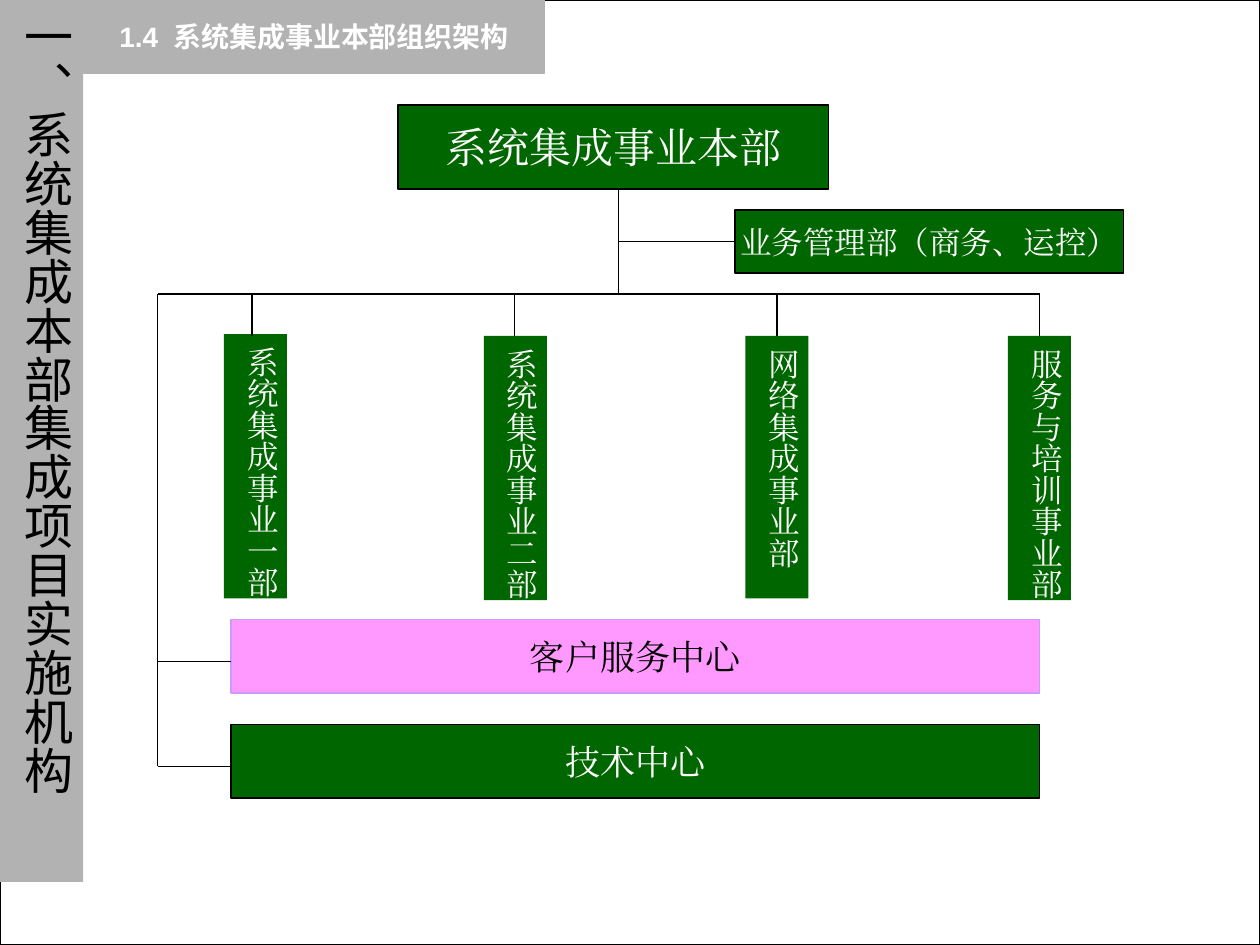
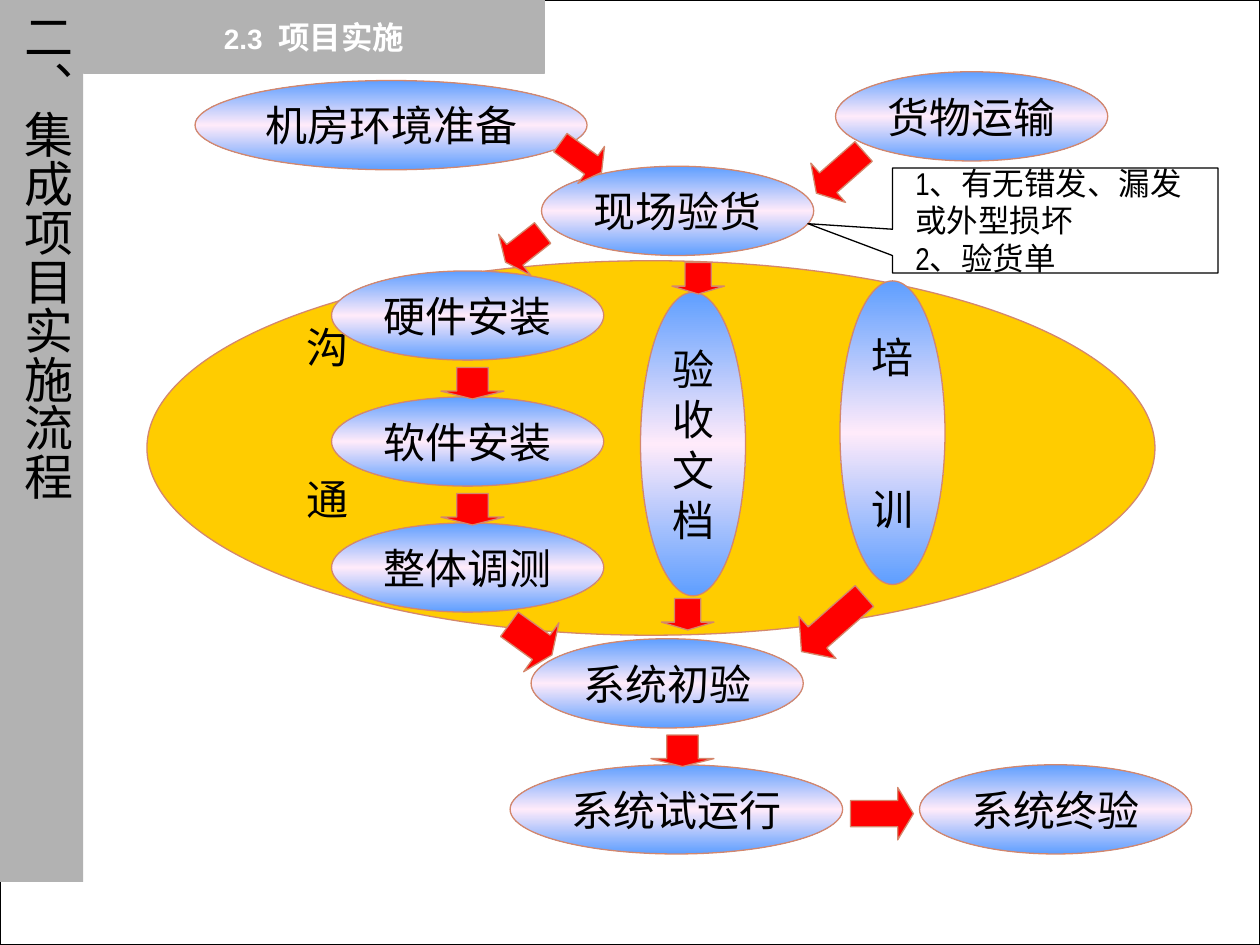
from copy import deepcopy
from dataclasses import dataclass
from typing import NamedTuple

from lxml import etree
from pptx import Presentation
from pptx.dml.color import RGBColor
from pptx.enum.shapes import MSO_CONNECTOR, MSO_SHAPE
from pptx.enum.text import MSO_ANCHOR, PP_ALIGN
from pptx.oxml.ns import qn
from pptx.util import Pt

RECT, OVAL = MSO_SHAPE.RECTANGLE, MSO_SHAPE.OVAL
DOWN, RIGHT = MSO_SHAPE.DOWN_ARROW, MSO_SHAPE.RIGHT_ARROW
CALLOUT = MSO_SHAPE.RECTANGULAR_CALLOUT
STRAIGHT = MSO_CONNECTOR.STRAIGHT
LEFT, CENTER = PP_ALIGN.LEFT, PP_ALIGN.CENTER
TOP, MIDDLE = MSO_ANCHOR.TOP, MSO_ANCHOR.MIDDLE


@dataclass(frozen=True)
class Theme:
    black: str = "000000"
    white: str = "FFFFFF"
    gray: str = "B2B2B2"
    green: str = "006600"
    pink: str = "FF99FF"
    lilac: str = "CC99FF"
    gold: str = "FFCC00"
    red: str = "FF0000"
    rim: str = "D4876C"
    shine: tuple[str, ...] = ("5E9EFF", "FFEBFA", "5E9EFF")
    serif: str = "Times New Roman"
    narrow: str = "Arial Narrow"
    sans: str = "Arial"
    hans: str = "Noto Sans CJK SC"
    side: float = 28
    large: float = 24
    bar: float = 20
    body: float = 18
    head: float = 16
    line: float = 0.75


T = Theme()


class Box(NamedTuple):
    x: float
    y: float
    w: float
    h: float


class Unit(NamedTuple):
    text: str
    box: Box
    size: float
    fill: str = T.green
    line: str = T.black
    color: str = T.white


class Step(NamedTuple):
    text: str
    x: float
    y: float
    w: float = 155.5
    h: float = 51
    wrap: bool = False
    gap: float = 0


class Arrow(NamedTuple):
    box: Box
    turn: float = 0
    tip: float = 0.25
    kind: int = DOWN


class Run(NamedTuple):
    text: str
    size: float
    font: str
    track: int = 0


def draw(slide, kind, box: Box, fill=None, line: str | None = None):
    """Add a shape; a tuple of colours as fill makes a vertical gradient."""
    shape = slide.shapes.add_shape(kind, *map(Pt, box))
    shape.shadow.inherit = False
    if fill is None:
        shape.fill.background()
    elif isinstance(fill, tuple):
        shade(shape, fill)
    else:
        shape.fill.solid()
        shape.fill.fore_color.rgb = RGBColor.from_string(fill)
    if line:
        shape.line.color.rgb = RGBColor.from_string(line)
        shape.line.width = Pt(T.line)
    else:
        shape.line.fill.background()
    return shape


def shade(shape, colors: tuple[str, ...]) -> None:
    shape.fill.gradient()
    shape.fill.gradient_angle = 90
    stops = shape._element.spPr.find(".//" + qn("a:gsLst"))
    while len(stops) < len(colors):
        stops.append(deepcopy(stops[0]))
    for i, (stop, color) in enumerate(zip(shape.fill.gradient_stops, colors)):
        stop.color.rgb = RGBColor.from_string(color)
        stop.position = i / (len(colors) - 1)


def write(shape, *paras, size: float = T.large, font: str = T.narrow,
          color: str = T.black, bold: bool = False, align=CENTER,
          anchor=MIDDLE, wrap: bool = True, gap: float = 0,
          pad: tuple[float, ...] = (7.2, 3.6, 7.2, 3.6),
          tall: bool = False) -> None:
    """Fill a shape with paragraphs, each a string or a list of runs."""
    frame = shape.text_frame
    frame.word_wrap, frame.vertical_anchor = wrap, anchor
    (frame.margin_left, frame.margin_top,
     frame.margin_right, frame.margin_bottom) = map(Pt, pad)
    if tall:
        frame._txBody.bodyPr.set("vert", "eaVert")
    for i, para in enumerate(paras):
        line = frame.add_paragraph() if i else frame.paragraphs[0]
        line.alignment = align
        if i and gap:
            line.space_before = Pt(gap)
        for part in [Run(para, size, font)] if isinstance(para, str) else para:
            run = line.add_run()
            run.text = part.text
            run.font.size, run.font.name = Pt(part.size), part.font
            run.font.bold = bold
            run.font.color.rgb = RGBColor.from_string(color)
            props = run.font._element
            east = etree.SubElement(props, qn("a:ea"))
            east.set("typeface", part.font)
            if part.track:
                props.set("spc", str(part.track))


def link(slide, x1: float, y1: float, x2: float, y2: float) -> None:
    line = slide.shapes.add_connector(STRAIGHT, *map(Pt, (x1, y1, x2, y2)))
    line.line.color.rgb = RGBColor.from_string(T.black)
    line.line.width = Pt(T.line)
    etree.SubElement(line._element.spPr, qn("a:effectLst"))


def start(deck):
    slide = deck.slides.add_slide(deck.slide_layouts[6])
    draw(slide, RECT, Box(0, 0, 720, 540), T.white, T.black)
    return slide


def frame(slide, side: str, number: str, title: str,
          size: float, font: str) -> None:
    """Draw the gray side band and the header of a section."""
    head = draw(slide, RECT, Box(48, 0, 263, 42), T.gray, T.gray)
    runs = [Run(number, T.head, T.sans), Run(" ", T.head, T.sans, 450),
            Run(title, size, font)]
    write(head, runs, color=T.white, bold=True, pad=(7.2,) * 4)
    band = draw(slide, RECT, Box(0, 0, 47.5, 504), T.gray)
    write(band, side, size=T.side, anchor=TOP, tall=True,
          pad=(3.6, 7.2, 3.6, 7.2))


def chart(deck) -> None:
    """Organisation chart."""
    slide = start(deck)
    rail, left, stem = 168, 90, 353.5
    units = [
        Unit("系统集成事业本部", Box(227.5, 60, 246, 48), T.large),
        Unit("业务管理部（商务、运控）", Box(420, 120, 222, 36), T.body),
        Unit("客户服务中心", Box(132, 354, 462, 42), T.bar,
             T.pink, T.lilac, T.black),
        Unit("技术中心", Box(132, 414, 462, 42), T.bar),
    ]
    for unit in units:
        shape = draw(slide, RECT, unit.box, unit.fill, unit.line)
        write(shape, unit.text, size=unit.size, font=T.serif,
              color=unit.color, wrap=False)

    teams = [
        Unit("系统集成事业一部", Box(128, 191, 36, 151), T.body),
        Unit("系统集成事业二部", Box(276.5, 192, 36, 151), T.body),
        Unit("网络集成事业部", Box(426, 192, 36, 150), T.body),
        Unit("服务与培训事业部", Box(576, 192, 36, 151), T.body),
    ]
    for i, team in enumerate(teams):
        shape = draw(slide, RECT, team.box, team.fill)
        write(shape, team.text, size=team.size, font=T.serif,
              color=team.color, anchor=TOP, wrap=False, tall=True,
              pad=(3.6, 7.2, 3.6, 7.2))
        x = 144 + 150 * i
        link(slide, x, rail, x, 192)

    link(slide, stem, 108, stem, rail)
    link(slide, stem, 138, 420, 138)
    link(slide, 594, rail, left, rail)
    link(slide, left, rail, left, 438)
    for y in (378, 438):
        link(slide, left, y, 132, y)
    frame(slide, "一、系统集成本部集成项目实施机构", "1.4",
          "系统集成事业本部组织架构", T.head, T.sans)


def flow(deck) -> None:
    """Process of carrying out a project."""
    slide = start(deck)
    row = 29
    field = draw(slide, OVAL, Box(84, 149, 576, 214), T.gold, T.rim)
    write(field, "沟", "通", align=LEFT, gap=2 * row,
          pad=(7.2, 3.6, 7.2, 3.6 + row))

    setup = ("硬件安装", "软件安装", "整体调测")
    steps = [Step(name, 189.5, 154.8 + 72 * i) for i, name in enumerate(setup)]
    steps += [
        Step("机房环境准备", 111.5, 46, 224),
        Step("货物运输", 477.5, 41),
        Step("现场验货", 309.5, 95),
        Step("系统初验", 303.5, 365),
        Step("系统试运行", 291.5, 437, 190),
        Step("系统终验", 525.5, 437),
        Step("验收文档", 366, 167, 60, 173.5, True),
        Step("培\n训", 480, 160.5, 60, 173.5, True, 2 * row),
    ]
    for step in steps:
        box = Box(step.x, step.y, step.w, step.h)
        shape = draw(slide, OVAL, box, T.shine, T.rim)
        write(shape, *step.text.split("\n"), wrap=step.wrap, gap=step.gap)

    arrows = [Arrow(Box(252, 210 + 72 * i, 36, 18)) for i in range(2)]
    arrows += [
        Arrow(Box(372, 420, 36, 18)),
        Arrow(Box(384, 150, 30, 18)),
        Arrow(Box(378, 342, 30, 18)),
        Arrow(Box(284.5, 128, 30, 27), 51.9),
        Arrow(Box(460, 332.5, 32, 48), 48.6, 0.38),
        Arrow(Box(286, 350.5, 34.5, 30), 305.8),
        Arrow(Box(319, 75.5, 26, 29), 305.8, 0.28),
        Arrow(Box(465, 80.5, 30, 36), 48.6, 0.3),
        Arrow(Box(486, 450, 36, 30), 0, 0.3, RIGHT),
    ]
    for arrow in arrows:
        shape = draw(slide, arrow.kind, arrow.box, T.red, T.rim)
        shape.adjustments[0], shape.adjustments[1] = 0.5, arrow.tip
        shape.rotation = arrow.turn

    note = draw(slide, CALLOUT, Box(510, 96, 186, 60), line=T.black)
    note.adjustments[0], note.adjustments[1] = -0.76, 0.03
    label = slide.shapes.add_textbox(*map(Pt, Box(516, 90, 180, 93.5)))
    write(label, "1、有无错发、漏发或外型损坏", "2、验货单",
          size=T.body, align=LEFT, anchor=TOP)
    frame(slide, "二、集成项目实施流程", "2.3", "项目实施", T.body, T.hans)


def main() -> None:
    deck = Presentation()
    deck.slide_width, deck.slide_height = Pt(720), Pt(540)
    chart(deck)
    flow(deck)
    deck.save("out.pptx")


if __name__ == "__main__":
    main()
